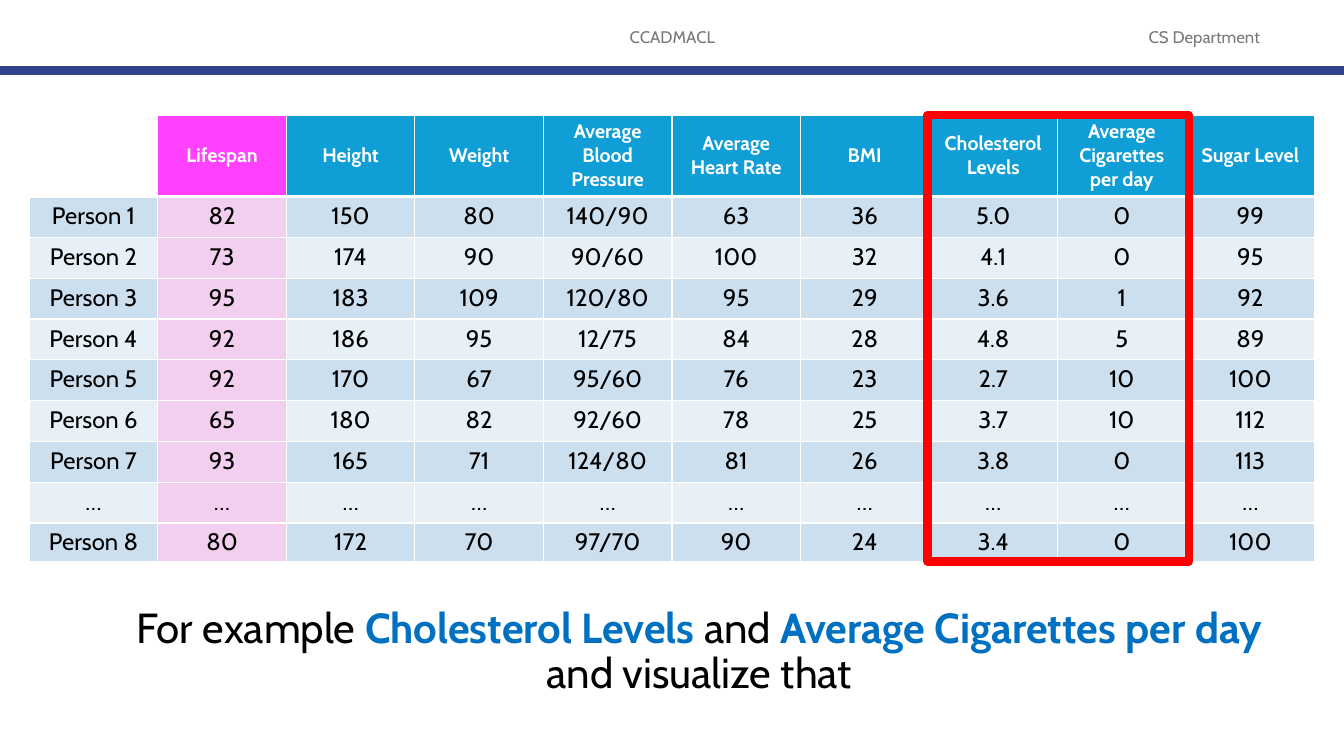
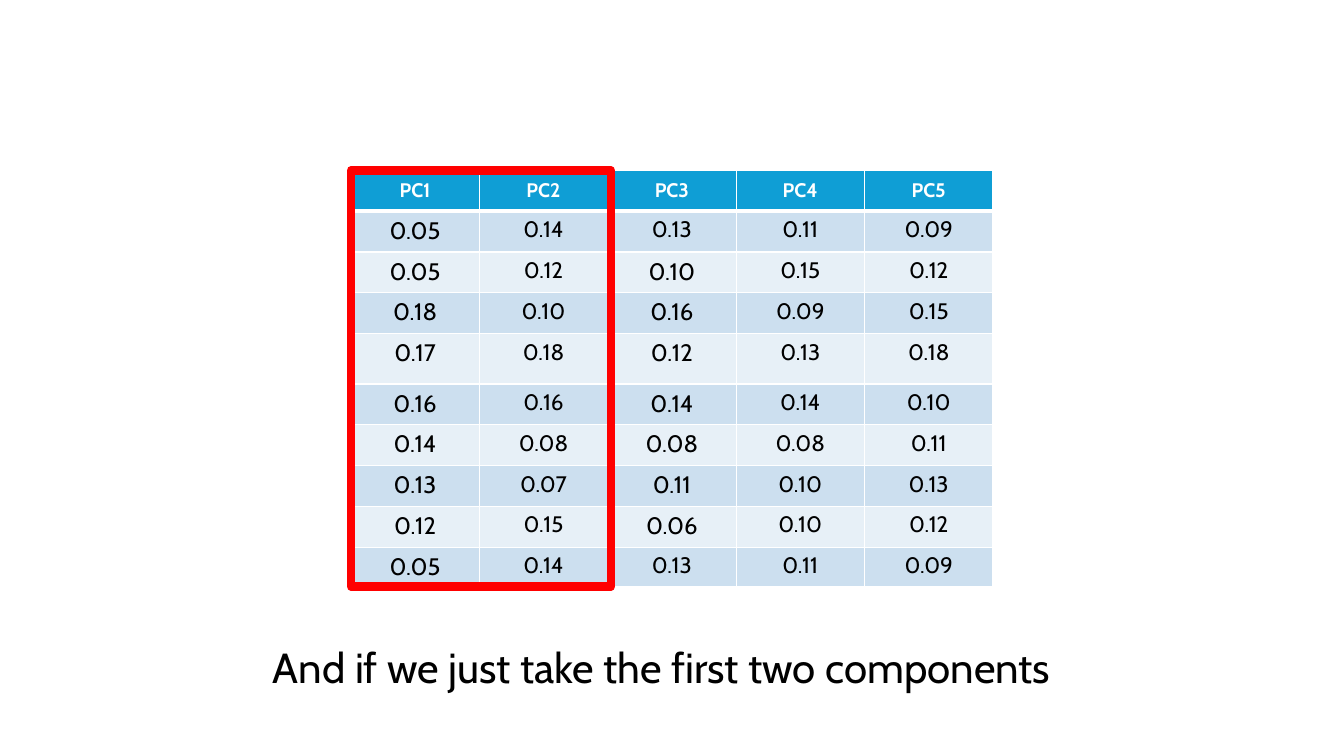
import pptx
import pptx.util
import pptx.dml.color
import pptx.enum.shapes
import pptx.enum.text
import pptx.oxml.ns
from lxml import etree

Inches, Pt = pptx.util.Inches, pptx.util.Pt
RGBColor = pptx.dml.color.RGBColor
PP_ALIGN, MSO_ANCHOR = pptx.enum.text.PP_ALIGN, pptx.enum.text.MSO_ANCHOR
qn = pptx.oxml.ns.qn

FONT = "Cabin"
BLACK = RGBColor(0x00, 0x00, 0x00)
WHITE = RGBColor(0xFF, 0xFF, 0xFF)
GREY = RGBColor(0x79, 0x79, 0x79)
NAVY = RGBColor(0x32, 0x41, 0x8C)
BLUE = RGBColor(0x00, 0x70, 0xC0)
RED = RGBColor(0xFF, 0x00, 0x00)
HEAD = RGBColor(0x0F, 0x9E, 0xD5)
BANDS = (RGBColor(0xCC, 0xDF, 0xEF), RGBColor(0xE7, 0xF0, 0xF7))
TARGET_HEAD = RGBColor(0xFF, 0x40, 0xFF)
TARGET = RGBColor(0xF2, 0xCF, 0xEE)

ROW_H = 0.405
LIFESPAN_COL = 1

PEOPLE = [
    ["", "Lifespan", "Height", "Weight", "Average Blood Pressure",
     "Average Heart Rate", "BMI", "Cholesterol Levels",
     "Average Cigarettes per day", "Sugar Level"],
    ["Person 1", "82", "150", "80", "140/90", "63", "36", "5.0", "0", "99"],
    ["Person 2", "73", "174", "90", "90/60", "100", "32", "4.1", "0", "95"],
    ["Person 3", "95", "183", "109", "120/80", "95", "29", "3.6", "1", "92"],
    ["Person 4", "92", "186", "95", "12/75", "84", "28", "4.8", "5", "89"],
    ["Person 5", "92", "170", "67", "95/60", "76", "23", "2.7", "10", "100"],
    ["Person 6", "65", "180", "82", "92/60", "78", "25", "3.7", "10", "112"],
    ["Person 7", "93", "165", "71", "124/80", "81", "26", "3.8", "0", "113"],
    ["…"] * 10,
    ["Person 8", "80", "172", "70", "97/70", "90", "24", "3.4", "0", "100"],
]
COMPONENTS = [
    ["PC1", "PC2", "PC3", "PC4", "PC5"],
    ["0.05", "0.14", "0.13", "0.11", "0.09"],
    ["0.05", "0.12", "0.10", "0.15", "0.12"],
    ["0.18", "0.10", "0.16", "0.09", "0.15"],
    ["0.17", "0.18", "0.12", "0.13", "0.18"],
    ["0.16", "0.16", "0.14", "0.14", "0.10"],
    ["0.14", "0.08", "0.08", "0.08", "0.11"],
    ["0.13", "0.07", "0.11", "0.10", "0.13"],
    ["0.12", "0.15", "0.06", "0.10", "0.12"],
    ["0.05", "0.14", "0.13", "0.11", "0.09"],
]


def style_run(r, size, color, bold=False):
    r.font.name = FONT
    r.font.size = Pt(size)
    r.font.color.rgb = color
    r.font.bold = bold


def add_text(s, box, parts, size):
    """Centred text box; parts are (text, colour, bold). Returns its paragraph."""
    tf = s.shapes.add_textbox(*map(Inches, box)).text_frame
    tf.word_wrap = True
    tf.vertical_anchor = MSO_ANCHOR.MIDDLE
    p = tf.paragraphs[0]
    p.alignment = PP_ALIGN.CENTER
    for text, color, bold in parts:
        r = p.add_run()
        r.text = text
        style_run(r, size, color, bold)
    return p


def add_caption(s, box, parts):
    p = add_text(s, box, parts, 30)
    p.line_spacing = 0.9
    p.space_before = Pt(10)


def add_header(s):
    for text, left, width in (("CCADMACL", 4.42, 4.5), ("CS Department", 10.92, 2.05)):
        add_text(s, (left, 0.17, width, 0.4), [(text, GREY, False)], 12)
    rule = s.shapes.add_connector(pptx.enum.shapes.MSO_CONNECTOR.STRAIGHT,
                                  0, Inches(0.7), Inches(13.33), Inches(0.7))
    rule.line.color.rgb = NAVY
    rule.line.width = Pt(6)
    etree.SubElement(rule._element.spPr, qn("a:effectLst"))


def set_borders(cell, row):
    """White 1 pt borders, with a 3 pt rule under the header row."""
    tcPr = cell._tc.get_or_add_tcPr()
    for side in "LRTB":
        thick = (row, side) in ((0, "B"), (1, "T"))
        ln = etree.SubElement(tcPr, qn("a:ln" + side), w=str(Pt(3 if thick else 1)))
        fill = etree.SubElement(ln, qn("a:solidFill"))
        etree.SubElement(fill, qn("a:srgbClr"), val=str(WHITE))


def add_grid(s, box, rows, heights, fill_of, size_of):
    """Table in box; fill_of and size_of map (row, column) to a cell's style."""
    frame = s.shapes.add_table(len(rows), len(rows[0]), *map(Inches, box))
    table = frame.table
    table.first_row = table.horz_banding = False
    for column in table.columns:
        column.width = Inches(box[2] / len(rows[0]))
    for i, row in enumerate(rows):
        table.rows[i].height = Inches(heights[i])
        for j, text in enumerate(row):
            cell = table.cell(i, j)
            set_borders(cell, i)
            if not text:
                cell.fill.background()
                continue
            cell.fill.solid()
            cell.fill.fore_color.rgb = fill_of(i, j)
            if i == 0:
                cell.vertical_anchor = MSO_ANCHOR.MIDDLE
            p = cell.text_frame.paragraphs[0]
            p.text = text
            p.alignment = PP_ALIGN.CENTER
            style_run(p.runs[0], size_of(i, j), BLACK if i else WHITE, i == 0)


def add_highlight(s, box):
    sp = s.shapes.add_shape(pptx.enum.shapes.MSO_SHAPE.RECTANGLE, *map(Inches, box))
    sp.shadow.inherit = False
    sp.fill.background()
    sp.line.color.rgb = RED
    sp.line.width = Pt(6)


def band_fill(i, j):
    return BANDS[(i - 1) % 2] if i else HEAD


def people_fill(i, j):
    if j == LIFESPAN_COL:
        return TARGET if i else TARGET_HEAD
    return band_fill(i, j)


def people_size(i, j):
    return 17 if i else 14


def component_size(i, j):
    if i == 0:
        return 14
    large = j == 0 or (j == 2 and 1 < i < len(COMPONENTS) - 1)
    return 17 if large else 16


def people_slide(s):
    add_header(s)
    top, height = 1.14, 4.43
    add_grid(s, (0.29, top, 12.75, height), PEOPLE, [0.81] + [ROW_H] * 8 + [0.38],
             people_fill, people_size)
    add_caption(s, (1.16, 6.04, 11.55, 0.87), [
        ("For example ", BLACK, False),
        ("Cholesterol Levels", BLUE, True),
        (" and", BLACK, False),
        (" Average Cigarettes per day ", BLUE, True),
        ("and visualize that", BLACK, False),
    ])
    add_highlight(s, (9.2, top, 2.59, height))


def components_slide(s):
    left, top, height = 3.48, 1.69, 4.13
    add_grid(s, (left, top, 6.37, height), COMPONENTS,
             [ROW_H] * 4 + [0.5] + [ROW_H] * 4 + [0.39], band_fill, component_size)
    add_caption(s, (0.3, 5.91, 12.53, 1.47),
                [("And if we just take the first two components", BLACK, False)])
    add_highlight(s, (left, top, 2.58, height))


def main():
    prs = pptx.Presentation()
    prs.slide_width, prs.slide_height = Inches(13.33), Inches(7.5)
    for build in (people_slide, components_slide):
        build(prs.slides.add_slide(prs.slide_layouts[6]))
    prs.save("out.pptx")


if __name__ == "__main__":
    main()
